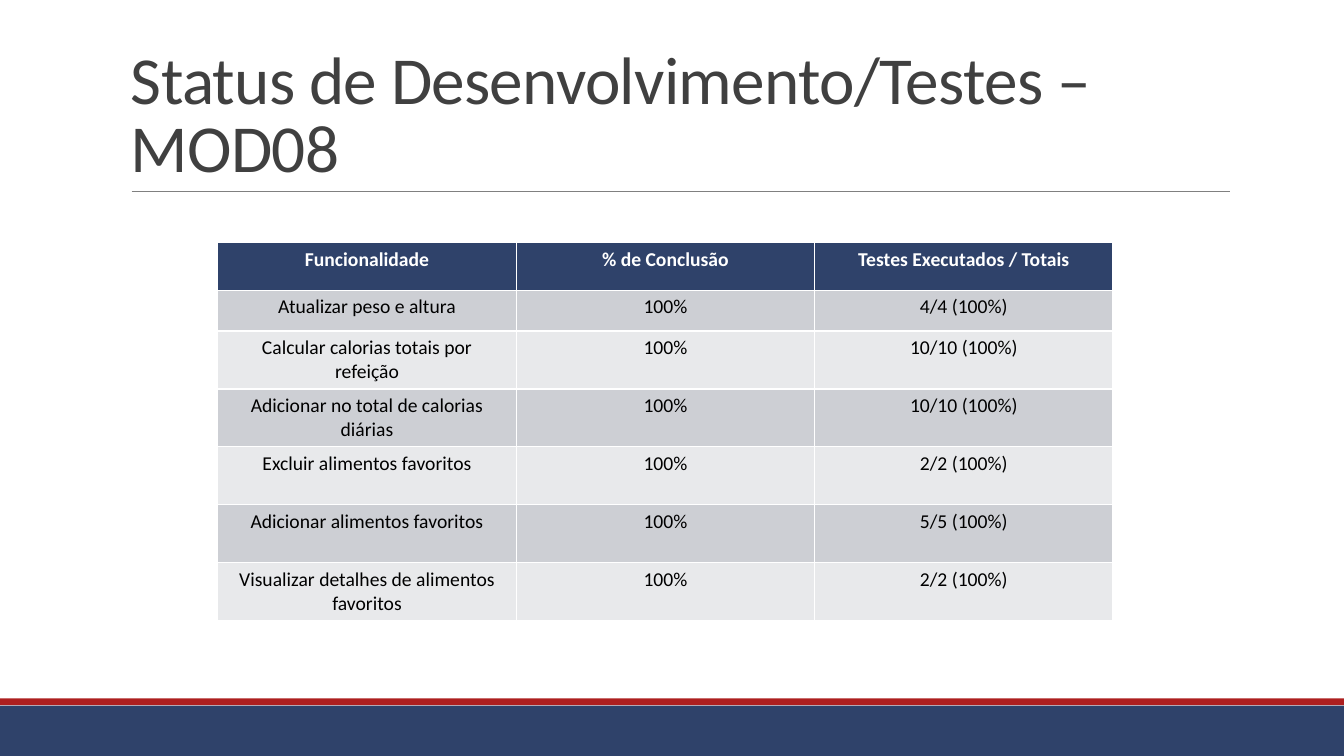
import pptx
import pptx.dml.color
import pptx.enum.shapes
import pptx.enum.text
import pptx.oxml
import pptx.oxml.ns
import pptx.util
from pptx.util import Cm

COLORS = {
    "navy": "2F426A",
    "red": "AD1F1F",
    "rule": "808080",
    "title": "404040",
    "header_text": "FFFFFF",
    "body_text": "000000",
    "band_dark": "CDCFD4",
    "band_light": "E8E9EB",
}
SLIDE_WIDTH, SLIDE_HEIGHT = Cm(33.87), Cm(19.05)
HEADERS = ["Funcionalidade", "% de Conclusão", "Testes Executados / Totais"]
FEATURES = [
    ("Atualizar peso e altura", "100%", "4/4 (100%)"),
    ("Calcular calorias totais por refeição", "100%", "10/10 (100%)"),
    ("Adicionar no total de calorias diárias", "100%", "10/10 (100%)"),
    ("Excluir alimentos favoritos", "100%", "2/2 (100%)"),
    ("Adicionar alimentos favoritos", "100%", "5/5 (100%)"),
    ("Visualizar detalhes de alimentos favoritos", "100%", "2/2 (100%)"),
]


class StatusSlide:
    font_name = "Calibri"

    def __init__(self, slide):
        self.slide = slide

    def color(self, name):
        return pptx.dml.color.RGBColor.from_string(COLORS[name])

    def style_font(self, paragraph, size, color, bold=False):
        font = paragraph.font
        font.name, font.size, font.bold = self.font_name, pptx.util.Pt(size), bold
        font.color.rgb = self.color(color)

    def band(self, top, height, color):
        """Draw a borderless bar across the whole slide."""
        bar = self.slide.shapes.add_shape(
            pptx.enum.shapes.MSO_SHAPE.RECTANGLE, 0, top, SLIDE_WIDTH, height)
        bar.shadow.inherit = False
        bar.fill.solid()
        bar.fill.fore_color.rgb = self.color(color)
        bar.line.fill.background()

    def rule(self, left, right, y):
        rule = self.slide.shapes.add_connector(
            pptx.enum.shapes.MSO_CONNECTOR.STRAIGHT, left, y, right, y)
        rule.line.color.rgb = self.color("rule")
        rule.line.width = pptx.util.Pt(0.5)
        properties = rule.line._get_or_add_ln().getparent()
        properties.append(pptx.oxml.parse_xml(
            f"<a:effectLst {pptx.oxml.ns.nsdecls('a')}/>"))

    def title(self, text, left, top, width, height):
        frame = self.slide.shapes.add_textbox(left, top, width, height).text_frame
        frame.word_wrap = True
        frame.vertical_anchor = pptx.enum.text.MSO_ANCHOR.BOTTOM
        paragraph = frame.paragraphs[0]
        paragraph.line_spacing = 0.85
        run = paragraph.add_run()
        run.text = text
        run.font._element.set("spc", "-50")
        self.style_font(paragraph, 48, "title")

    def table(self, rows, left, top, column_width, row_heights):
        columns = len(rows[0])
        table = self.slide.shapes.add_table(
            len(rows), columns, left, top,
            column_width * columns, sum(row_heights)).table
        for column in table.columns:
            column.width = column_width
        for index, (texts, height) in enumerate(zip(rows, row_heights)):
            table.rows[index].height = height
            header = index == 0
            fill = "navy" if header else "band_dark" if index % 2 else "band_light"
            for cell, text in zip(table.rows[index].cells, texts):
                cell.text = text
                cell.fill.solid()
                cell.fill.fore_color.rgb = self.color(fill)
                paragraph = cell.text_frame.paragraphs[0]
                paragraph.alignment = pptx.enum.text.PP_ALIGN.CENTER
                self.style_font(
                    paragraph, 14, "header_text" if header else "body_text", header)


def main():
    deck = pptx.Presentation()
    deck.slide_width, deck.slide_height = SLIDE_WIDTH, SLIDE_HEIGHT
    status = StatusSlide(deck.slides.add_slide(deck.slide_layouts[6]))
    status.band(Cm(17.78), Cm(1.27), "navy")
    status.band(Cm(17.6), Cm(0.17), "red")
    status.rule(Cm(3.32), Cm(31), Cm(4.83))
    status.title("Status de Desenvolvimento/Testes – MOD08",
                 Cm(3.05), Cm(0.79), Cm(27.94), Cm(4.04))
    row_heights = [Cm(1.19), Cm(1.03)] + [Cm(1.46)] * (len(FEATURES) - 1)
    status.table([HEADERS] + FEATURES, Cm(5.49), Cm(6.12), Cm(7.52), row_heights)
    deck.save("out.pptx")


if __name__ == "__main__":
    main()
